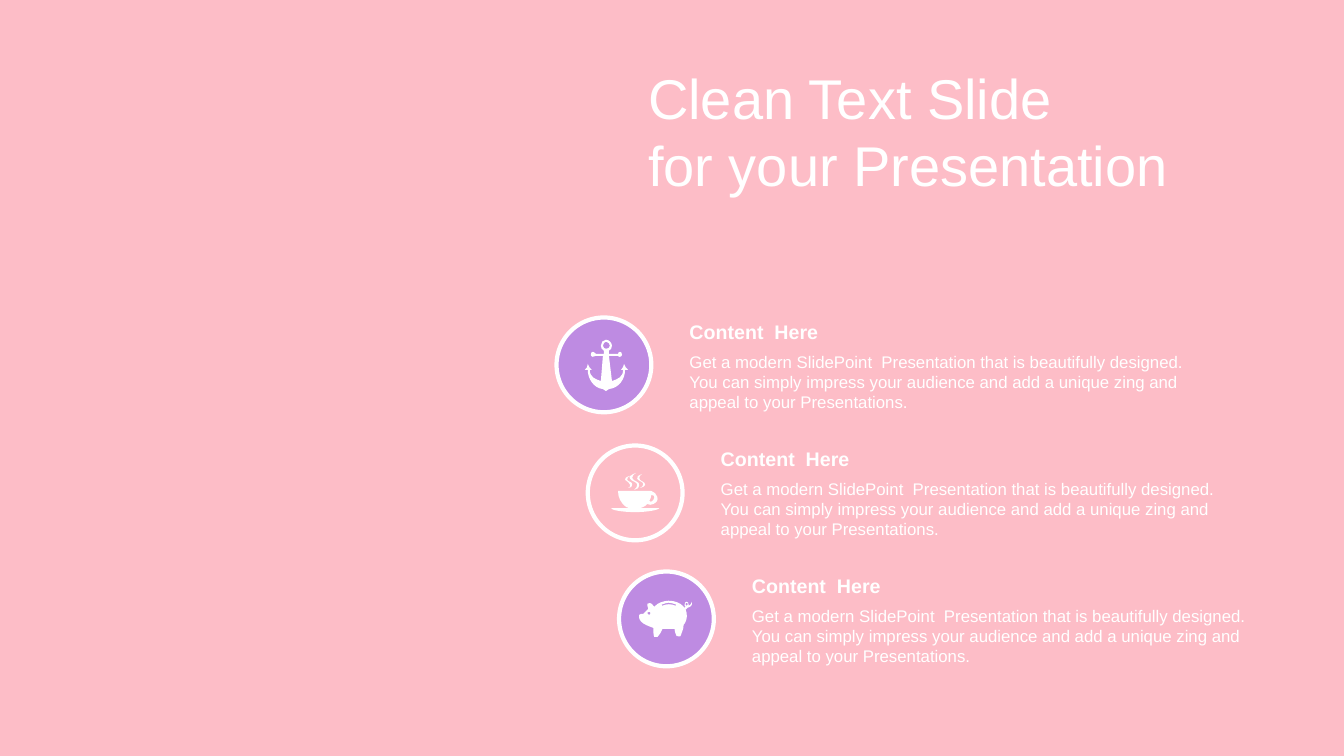
from pptx import Presentation
from pptx.dml.color import RGBColor
from pptx.enum.shapes import MSO_SHAPE as Preset
from pptx.enum.text import MSO_ANCHOR as Anchor
from pptx.oxml.ns import qn
from pptx.util import Inches, Pt

# Content
PINK, PURPLE, WHITE = "FDBDC7", "BE8BE2", "FFFFFF"
TITLE = "Clean Text Slide\nfor your Presentation"
HEADING = "Content  Here"
BODY = (
    "Get a modern SlidePoint  Presentation that is beautifully designed. "
    "You can simply impress your audience and add a unique zing and "
    "appeal to your Presentations."
)

# Icon outlines: hundredths of an inch from the corner of the item
ANCHOR = [
    "M 49 24 C 48 24 46 26 46 28 C 46 30 48 31 49 31 C 51 31 53 30 53 28 C 53 26 51 24 49 24",
    "M 49 22 C 52 22 55 25 55 28 C 55 30 54 32 52 33 L 52 36 L 61 36 C 61 35 62 34 63 34 "
    "C 64 34 65 35 65 37 C 65 38 64 39 63 39 C 62 39 61 39 61 38 L 52 38 L 55 63 "
    "C 61 61 66 59 66 52 C 65 52 64 52 64 52 C 65 50 67 49 67 46 C 68 49 69 50 71 52 "
    "C 70 52 69 52 68 52 C 68 61 62 70 52 71 C 51 72 50 72 49 73 C 48 72 48 72 46 71 "
    "C 37 70 31 61 31 52 C 30 52 29 52 28 52 C 30 50 31 49 31 46 C 32 49 33 50 35 52 "
    "C 34 52 33 52 33 52 C 33 59 38 61 44 63 L 46 38 L 39 38 C 38 39 37 39 36 39 "
    "C 35 39 34 38 34 37 C 34 35 35 34 36 34 C 37 34 38 35 39 36 L 47 36 L 47 33 "
    "C 45 32 44 30 44 28 C 44 25 46 22 49 22",
]
CUP = [
    "M 63 50 C 63 52 62 54 61 56 C 62 57 63 57 64 56 C 65 55 66 54 66 52 C 66 51 65 50 63 50",
    "M 63 46 L 63 46 C 66 47 68 49 69 52 C 70 55 68 58 65 59 C 63 60 61 60 59 59 "
    "C 58 60 57 61 55 62 C 54 62 53 63 52 63 L 71 63 C 70 65 59 67 47 67 "
    "C 34 67 23 65 23 63 L 41 63 C 40 63 39 62 38 62 C 33 58 30 53 30 46",
    "M 42 31 C 40 32 39 33 39 35 C 40 37 45 37 44 40 C 44 42 43 43 40 43 C 42 42 42 42 42 40 "
    "C 42 38 39 37 37 35 C 36 34 38 32 42 31",
    "M 54 29 C 52 31 51 31 51 33 C 51 37 57 36 57 40 C 56 42 55 42 52 43 C 54 42 55 41 55 39 "
    "C 55 37 50 36 49 34 C 48 32 50 31 54 29",
    "M 48 28 C 46 30 44 30 44 33 C 45 37 52 36 51 41 C 51 43 49 44 46 45 C 48 43 49 42 49 40 "
    "C 49 37 44 37 42 34 C 40 32 43 30 48 28",
]
PIG = [
    "M 30 40 C 29 40 28 41 28 41 C 28 42 29 43 30 43 C 31 43 31 42 31 41 C 31 41 31 40 30 40",
    "M 67 31 C 66 31 66 32 66 33 C 66 33 66 34 67 34 C 68 34 68 33 68 33 C 68 32 68 31 67 31",
    "M 49 31 C 47 31 45 32 42 33 L 43 34 C 47 32 52 32 56 34 L 57 33 C 54 32 52 31 49 31",
    "M 49 29 C 55 29 61 31 64 35 L 65 36 C 65 36 65 36 66 35 C 65 35 65 34 65 33 "
    "C 65 31 66 30 67 30 C 68 30 69 31 69 33 C 69 33 69 33 69 34 C 70 33 71 34 72 30 "
    "C 73 34 71 35 68 36 C 67 37 67 37 66 38 C 66 38 66 38 66 38 L 67 41 C 68 46 66 51 64 53 "
    "C 64 58 62 60 61 64 C 61 65 57 64 57 64 C 56 62 55 59 55 57 C 51 57 46 57 43 57 "
    "C 42 60 40 63 38 65 L 35 65 C 34 64 34 59 34 56 C 29 54 18 51 20 43 C 20 42 23 42 24 42 "
    "C 26 40 26 39 29 37 C 28 35 28 33 28 32 C 32 30 33 33 35 35 C 38 31 45 29 49 29",
]
# Icon, badge colour, badge top
ITEMS = [(ANCHOR, PURPLE, 3.15), (CUP, PINK, 4.42), (PIG, PURPLE, 5.67)]

# Layout in inches
ITEM_X, ITEM_Y, BADGE_SIZE = 5.52, 3.15, 0.94
STEP_X, STEP_Y = 0.31, 1.26
TEXT_X, TEXT_WIDTH = 6.74, 5.23


def paint(fill, color):
    fill.solid()
    fill.fore_color.rgb = RGBColor.from_string(color)


def add_text(text, left, top, width, height, size, bold=False, anchor=Anchor.MIDDLE):
    box = slide.shapes.add_textbox(Inches(left), Inches(top), Inches(width), Inches(height))
    frame = box.text_frame
    frame.word_wrap = True
    frame.vertical_anchor = anchor
    frame.text = text
    for paragraph in frame.paragraphs:
        font = paragraph.runs[0].font
        font.name, font.size, font.bold = "Arial", Pt(size), bold
        font.color.rgb = RGBColor.from_string(WHITE)


def get_knots(outline):
    numbers = [int(token) for token in outline.split() if token.isdigit()]
    return list(zip(numbers[::2], numbers[1::2]))


def bend(icon, outlines):
    """Join each three lines that stand for a C command into one cubic curve."""
    lines = iter(list(icon.element.iter(qn("a:lnTo"))))
    for command in "".join(outlines):
        if command == "L":
            next(lines)
        elif command == "C":
            trio = [next(lines) for _ in range(3)]
            curve = trio[0].makeelement(qn("a:cubicBezTo"))
            trio[0].addprevious(curve)
            for line in trio:
                curve.append(line[0])
                line.getparent().remove(line)


def add_icon(outlines, left, top):
    contours = [get_knots(outline) for outline in outlines]
    builder = slide.shapes.build_freeform(*contours[0][0], scale=Inches(0.01))
    for index, contour in enumerate(contours):
        if index:
            builder.move_to(*contour[0])
        builder.add_line_segments(contour[1:], close=True)
    icon = builder.convert_to_shape(Inches(left), Inches(top))
    bend(icon, outlines)
    icon.shadow.inherit = False
    paint(icon.fill, WHITE)
    icon.line.fill.background()


def add_badge(left, top, color):
    badge = slide.shapes.add_shape(
        Preset.OVAL, Inches(left), Inches(top), Inches(BADGE_SIZE), Inches(BADGE_SIZE))
    badge.shadow.inherit = False
    paint(badge.fill, color)
    paint(badge.line.fill, WHITE)
    badge.line.width = Pt(3)


# Slide and title
prs = Presentation()
prs.slide_width, prs.slide_height = Inches(13.33), Inches(7.5)
slide = prs.slides.add_slide(prs.slide_layouts[6])
paint(slide.background.fill, PINK)
add_text(TITLE, 6.33, 0.57, 6.69, 1.45, 40)

# Staggered items
for row, (icon_outlines, badge_color, badge_top) in enumerate(ITEMS):
    shift, top = row * STEP_X, ITEM_Y + row * STEP_Y
    add_badge(ITEM_X + shift, badge_top, badge_color)
    add_icon(icon_outlines, ITEM_X + shift, top)
    add_text(BODY, TEXT_X + shift, top + 0.29, TEXT_WIDTH, 0.67, 12, anchor=Anchor.TOP)
    add_text(HEADING, TEXT_X + shift, top - 0.01, TEXT_WIDTH, 0.31, 14, bold=True)

prs.save("out.pptx")
